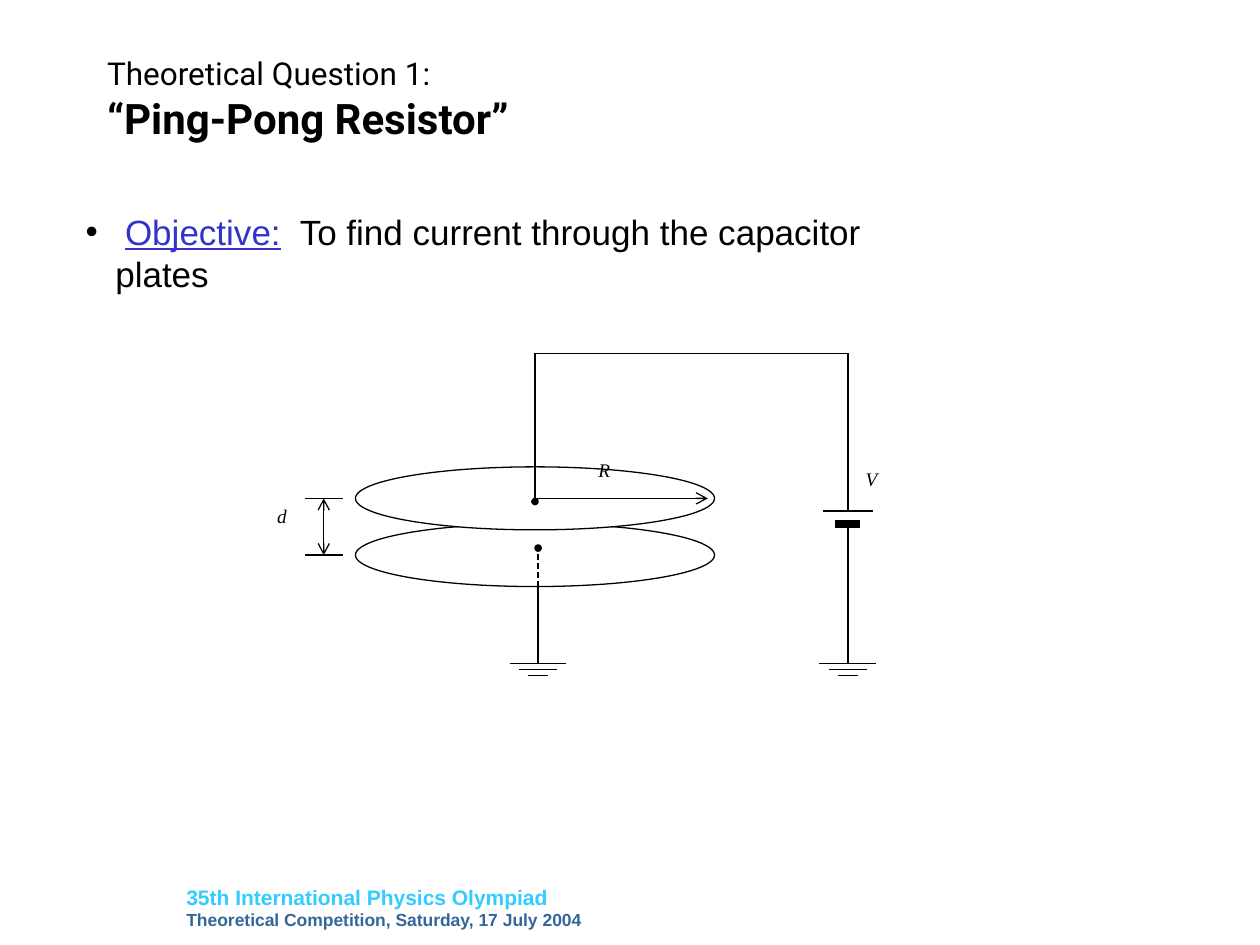
from lxml import etree
from pptx import Presentation
from pptx.dml.color import RGBColor
from pptx.enum import dml, shapes, text
from pptx.oxml.ns import qn
from pptx.util import Pt

BLACK = RGBColor(0x00, 0x00, 0x00)
WHITE = RGBColor(0xFF, 0xFF, 0xFF)
LINK_BLUE = RGBColor(0x33, 0x33, 0xCC)
SKY = RGBColor(0x33, 0xCC, 0xFF)
STEEL = RGBColor(0x33, 0x66, 0x99)


def add_run(paragraph, wording, color=BLACK, **formats):
    run = paragraph.add_run()
    run.text = wording
    run.font.color.rgb = color
    for name, value in formats.items():
        setattr(run.font, name, value)


def add_box(slide, left, top, width, height, inset=(7.2, 3.6)):
    """Add an empty wrapping text box and return its text frame."""
    frame = slide.shapes.add_textbox(Pt(left), Pt(top), Pt(width), Pt(height)).text_frame
    frame.word_wrap = True
    frame.margin_left = frame.margin_right = Pt(inset[0])
    frame.margin_top = frame.margin_bottom = Pt(inset[1])
    return frame


def place_title(slide, left, top, width, height):
    title = slide.shapes.title
    title.left, title.top, title.width, title.height = map(Pt, (left, top, width, height))
    frame = title.text_frame
    frame.vertical_anchor = text.MSO_ANCHOR.MIDDLE
    frame.auto_size = text.MSO_AUTO_SIZE.NONE
    heading = frame.paragraphs[0]
    heading.alignment = text.PP_ALIGN.LEFT
    add_run(heading, "Theoretical Question 1:", name="Roboto", size=Pt(18))
    heading.add_line_break()
    add_run(heading, "“Ping-Pong Resistor”", name="Roboto", size=Pt(24), bold=True)


def place_objective(slide, left, top, width, height):
    objective = add_box(slide, left, top, width, height).paragraphs[0]
    properties = objective._p.get_or_add_pPr()
    properties.set("marL", str(Pt(17)))
    properties.set("indent", str(-Pt(17)))
    etree.SubElement(properties, qn("a:buFont"), typeface="Arial")
    etree.SubElement(properties, qn("a:buChar"), char="•")
    body = dict(name="Arial", size=Pt(20))
    add_run(objective, " ", **body)
    add_run(objective, "Objective:", LINK_BLUE, underline=True, **body)
    add_run(objective, "  To find current through the capacitor plates", **body)


def place_footer(slide, left, top, width, height):
    frame = add_box(slide, left, top, width, height)
    add_run(frame.paragraphs[0], "35th International Physics Olympiad", SKY,
            name="Arial", size=Pt(12), bold=True)
    add_run(frame.add_paragraph(), "Theoretical Competition, Saturday, 17 July 2004", STEEL,
            name="Arial", size=Pt(10), bold=True)


def place_circuit(slide, left, top):
    """Draw the plate capacitor, its battery and both grounds."""

    def wire(x1, y1, x2, y2, weight=0.75, dashed=False, arrows=()):
        line = slide.shapes.add_connector(
            shapes.MSO_CONNECTOR.STRAIGHT,
            Pt(left + x1), Pt(top + y1), Pt(left + x2), Pt(top + y2))
        line.line.color.rgb = BLACK
        line.line.width = Pt(weight)
        if dashed:
            line.line.dash_style = dml.MSO_LINE.DASH
        for end in arrows:
            etree.SubElement(line.line._get_or_add_ln(), qn(f"a:{end}"), type="arrow")
        etree.SubElement(line._element.spPr, qn("a:effectLst"))

    def ellipse(center_x, center_y, width, height, fill):
        oval = slide.shapes.add_shape(
            shapes.MSO_SHAPE.OVAL, Pt(left + center_x - width / 2),
            Pt(top + center_y - height / 2), Pt(width), Pt(height))
        oval.shadow.inherit = False
        oval.fill.solid()
        oval.fill.fore_color.rgb = fill
        oval.line.color.rgb = BLACK
        oval.line.width = Pt(0.75)

    def label(wording, x, y, width):
        symbol = add_box(slide, left + x, top + y, width, 34, (2.9, 1.4)).paragraphs[0]
        add_run(symbol, wording, name="Times New Roman", size=Pt(11), italic=True)

    plate_x, lead_x, cell_x = 150.2, 152, 329
    upper_y, lower_y = 82.8, 115.2
    cell_top, cell_bottom, ground_y = 90, 97.2, 177
    plate_bottom = lower_y + 18

    for plate_y in (lower_y, upper_y):
        ellipse(plate_x, plate_y, 205.2, 36, WHITE)

    wire(plate_x, upper_y, plate_x, 0)
    wire(plate_x, 0, cell_x, 0)
    wire(cell_x, 0, cell_x, cell_top)
    wire(cell_x, cell_bottom, cell_x, ground_y)
    wire(lead_x, ground_y, lead_x, plate_bottom)
    wire(lead_x, plate_bottom, lead_x, 111.6, dashed=True)

    wire(cell_x - 14.4, cell_top, cell_x + 14.4, cell_top)
    wire(cell_x - 7.2, cell_bottom, cell_x + 7.2, cell_bottom, weight=4.5)
    for ground_x in (lead_x, cell_x):
        for step, half in enumerate((16.2, 10.8, 5.6)):
            bar_y = ground_y + 3.6 * step
            wire(ground_x - half, bar_y, ground_x + half, bar_y)

    ellipse(lead_x, 111.2, 3.6, 3.6, BLACK)
    ellipse(plate_x, 84.6, 3.6, 3.6, BLACK)

    for mark_y in (upper_y, lower_y):
        wire(18.7, mark_y, 40.3, mark_y)
    wire(29.5, lower_y, 29.5, upper_y, arrows=("headEnd", "tailEnd"))
    wire(plate_x, upper_y, 249, upper_y, arrows=("tailEnd",))

    label("d", 0, 85, 23)
    label("V", 336.3, 63.4, 32)
    label("R", 183.6, 58.3, 25)


def main():
    deck = Presentation()
    deck.slide_width, deck.slide_height = Pt(720), Pt(540)
    slide = deck.slides.add_slide(deck.slide_layouts[5])
    place_footer(slide, 99.4, 501.8, 244, 36)
    place_title(slide, 54, 31.7, 612, 49)
    place_circuit(slide, 155.5, 202)
    place_objective(slide, 41.8, 116.6, 509, 32)
    deck.save("out.pptx")


if __name__ == "__main__":
    main()
